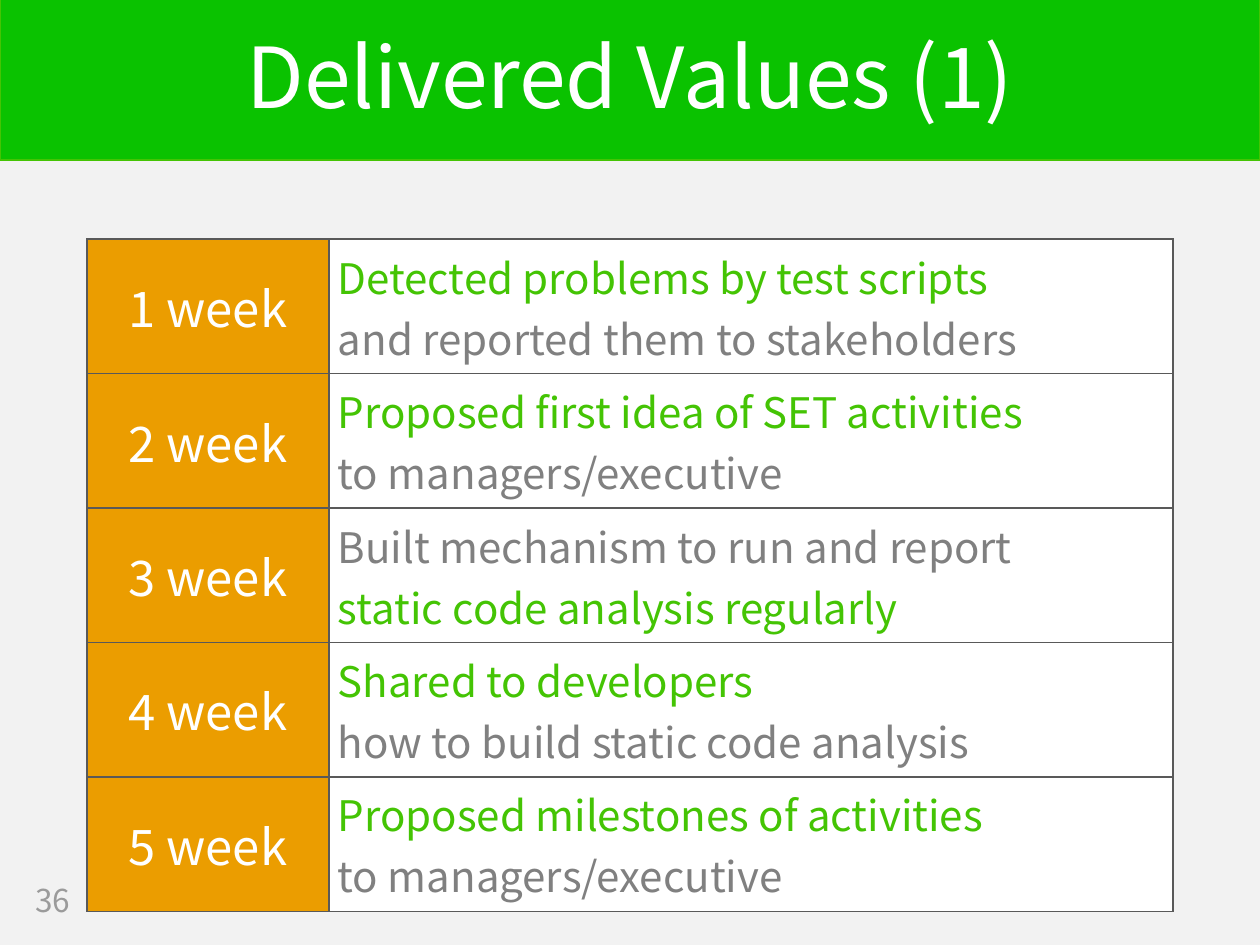
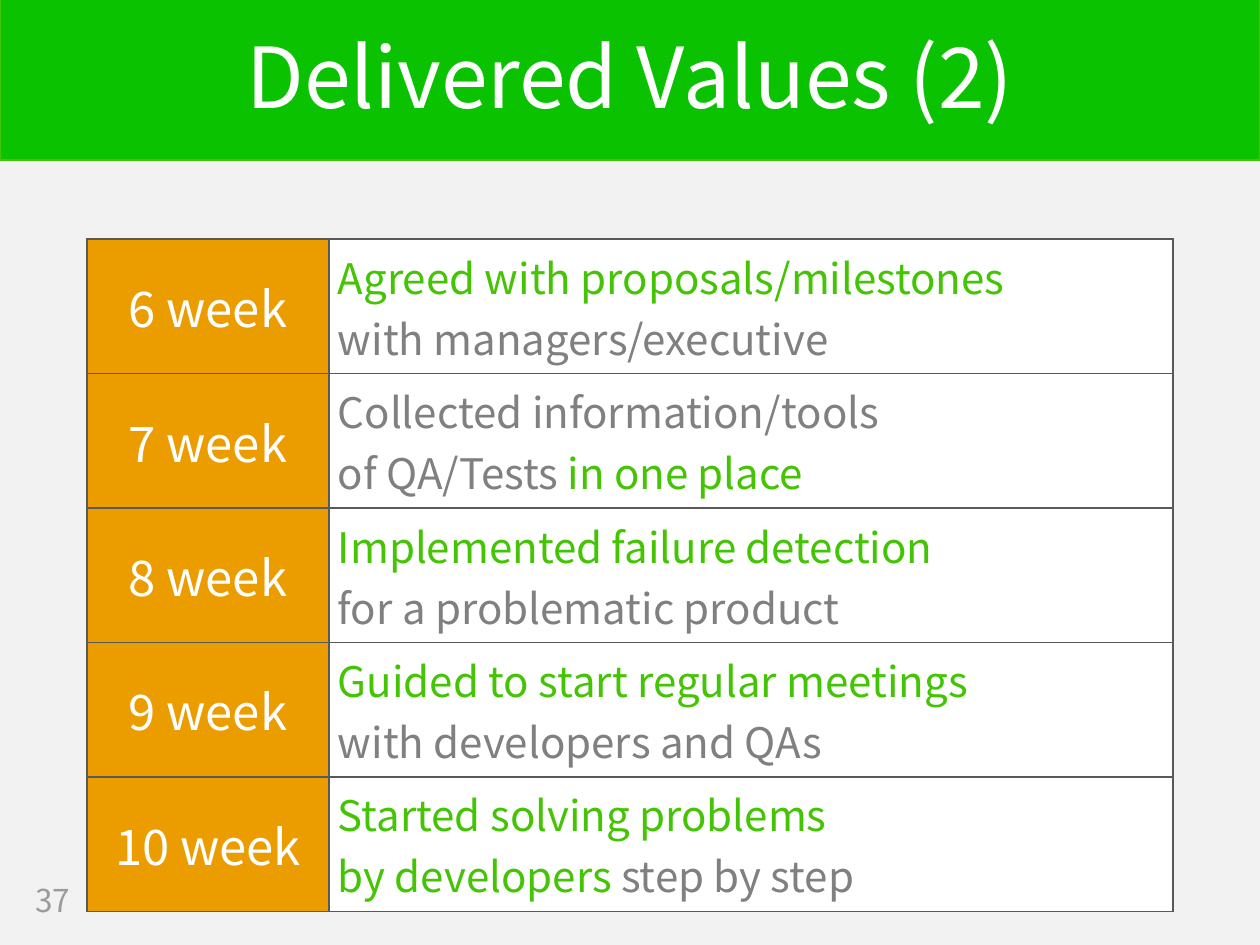
from pptx import Presentation, util as u
from pptx.dml.color import RGBColor
from pptx.enum import shapes, text
from pptx.oxml import parse_xml
from pptx.oxml.ns import nsdecls

FONT = "Noto Sans CJK JP"
BACK = RGBColor(0xF2, 0xF2, 0xF2)
BAND = RGBColor(0x0A, 0xC2, 0x00)
GREEN = RGBColor(0x44, 0xC4, 0x04)
ORANGE = RGBColor(0xEB, 0x9D, 0x00)
GREY = RGBColor(0x80, 0x80, 0x80)
PALE = RGBColor(0x9B, 0x9B, 0x9B)
WHITE = RGBColor(0xFF, 0xFF, 0xFF)
BORDER = RGBColor(0x59, 0x59, 0x59)

FIRST_PAGE = 36
ROW_H = u.Cm(2.71)

DELIVERED = [
    [
        [[("Detected problems by test scripts", GREEN)],
         [("and reported them to stakeholders", GREY)]],
        [[("Proposed first idea of SET activities", GREEN)],
         [("to managers/executive", GREY)]],
        [[("Built mechanism to run and report", GREY)],
         [("static code analysis regularly", GREEN)]],
        [[("Shared to developers", GREEN)],
         [("how to build static code analysis", GREY)]],
        [[("Proposed milestones of activities", GREEN)],
         [("to managers/executive", GREY)]],
    ],
    [
        [[("Agreed with proposals/milestones", GREEN)],
         [("with managers/executive", GREY)]],
        [[("Collected information/tools", GREY)],
         [("of QA/Tests ", GREY), ("in one place", GREEN)]],
        [[("Implemented failure detection", GREEN)],
         [("for a problematic product", GREY)]],
        [[("Guided to start regular meetings", GREEN)],
         [("with developers and QAs", GREY)]],
        [[("Started solving problems", GREEN)],
         [("by developers", GREEN), (" step by step", GREY)]],
    ],
]


def write(tf, lines, size, align=text.PP_ALIGN.LEFT):
    for i, line in enumerate(lines):
        p = tf.add_paragraph() if i else tf.paragraphs[0]
        p.alignment = align
        for words, color in line:
            r = p.add_run()
            r.text = words
            r.font.name = FONT
            r.font.size = u.Pt(size)
            r.font.color.rgb = color


def format_cell(cell, fill):
    tcPr = cell._tc.get_or_add_tcPr()
    for side in "LRTB":
        tcPr.append(parse_xml(
            f'<a:ln{side} {nsdecls("a")} w="12700"><a:solidFill>'
            f'<a:srgbClr val="{BORDER}"/></a:solidFill></a:ln{side}>'))
    cell.fill.solid()
    cell.fill.fore_color.rgb = fill
    cell.vertical_anchor = text.MSO_ANCHOR.MIDDLE
    cell.margin_left = cell.margin_right = u.Cm(0.18)
    cell.margin_top = cell.margin_bottom = u.Cm(0.13)


prs = Presentation()
prs.slide_width, prs.slide_height = u.Cm(25.4), u.Cm(19.05)
prs.slide_master.background.fill.solid()
prs.slide_master.background.fill.fore_color.rgb = BACK

for n, weeks in enumerate(DELIVERED):
    s = prs.slides.add_slide(prs.slide_layouts[5])

    band = s.shapes.add_shape(shapes.MSO_SHAPE.RECTANGLE,
                              0, u.Cm(-0.02), prs.slide_width, u.Cm(3.25))
    band.shadow.inherit = False
    band.fill.solid()
    band.fill.fore_color.rgb = BAND
    band.line.color.rgb = GREEN
    band.line.width = u.Pt(1)
    s.shapes._spTree.insert(2, band._element)

    title = s.shapes.title
    title.left, title.top = 0, u.Cm(0.91)
    title.width, title.height = prs.slide_width, u.Cm(1.45)
    tf = title.text_frame
    tf.auto_size = text.MSO_AUTO_SIZE.NONE
    tf.vertical_anchor = text.MSO_ANCHOR.MIDDLE
    write(tf, [[(f"Delivered Values ({n + 1})", WHITE)]], 48, text.PP_ALIGN.CENTER)
    tf.paragraphs[0].line_spacing = 0.9

    page = s.shapes.add_textbox(u.Cm(0.46), u.Cm(17.65), u.Cm(2), u.Cm(1))
    tf = page.text_frame
    tf.word_wrap = True
    tf.vertical_anchor = text.MSO_ANCHOR.MIDDLE
    write(tf, [[(str(FIRST_PAGE + n), PALE)]], 18)

    table = s.shapes.add_table(len(weeks), 2, u.Cm(1.75), u.Cm(4.82),
                               u.Cm(21.9), ROW_H * len(weeks)).table
    table.columns[0].width = u.Cm(4.88)
    table.columns[1].width = u.Cm(17.02)
    for i, lines in enumerate(weeks):
        table.rows[i].height = ROW_H
        week, value = table.cell(i, 0), table.cell(i, 1)
        format_cell(week, ORANGE)
        format_cell(value, WHITE)
        number = n * len(weeks) + i + 1
        write(week.text_frame, [[(f"{number} week", WHITE)]], 28, text.PP_ALIGN.CENTER)
        write(value.text_frame, lines, 24)

prs.save("out.pptx")
